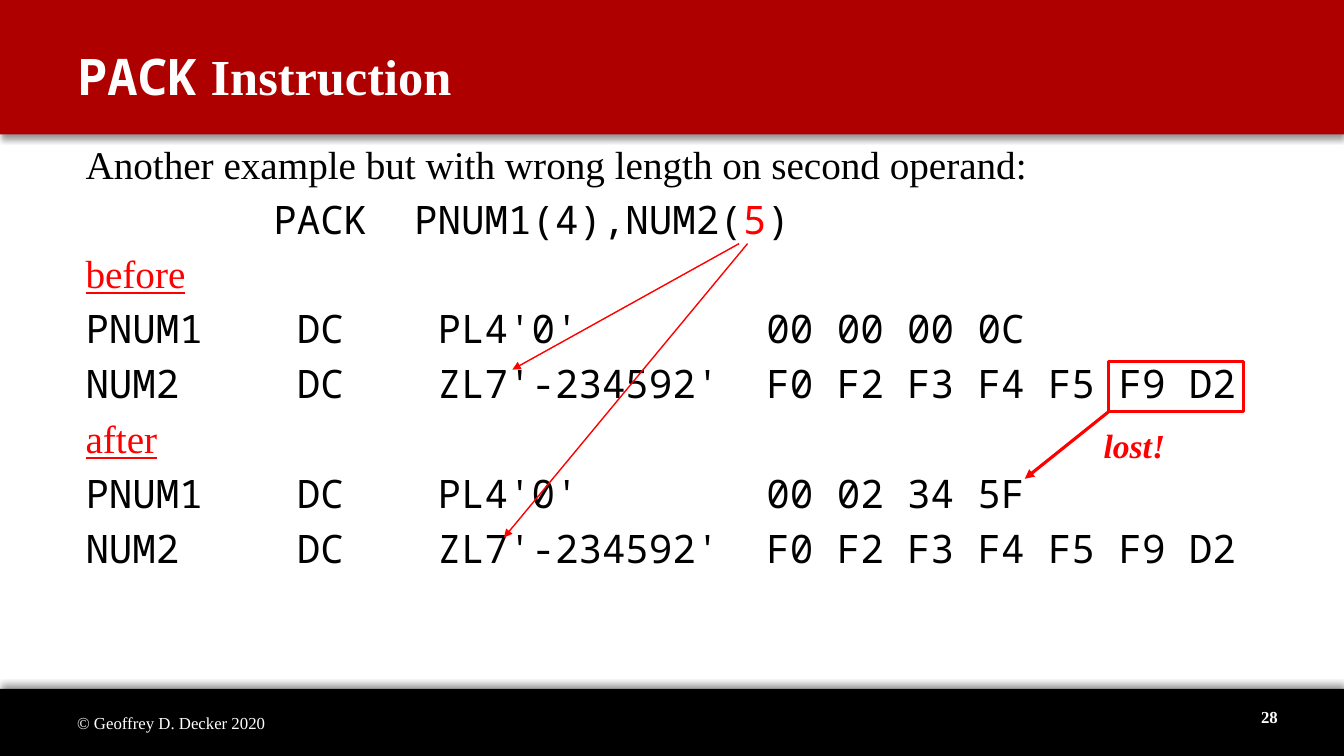
from dataclasses import dataclass
from typing import NamedTuple

import pptx
import pptx.dml.color
import pptx.enum.shapes
import pptx.enum.text
import pptx.oxml
import pptx.oxml.ns
import pptx.util

# Grid of 160 columns by 90 rows, each a twelfth of an inch
CELL = 1 / 12
COLUMNS, ROWS = 160, 90
COLORS = {"black": "000000", "white": "FFFFFF", "banner": "AF0000", "red": "FF0000"}
SERIF, MONO = "Times New Roman", "Noto Sans Mono"
ANCHOR = pptx.enum.text.MSO_ANCHOR
ALIGN = pptx.enum.text.PP_ALIGN


class Area(NamedTuple):
    column: float
    row: float
    width: float
    height: float


@dataclass
class Span:
    text: str
    size: float = 28
    font: str = SERIF
    color: str = "black"
    bold: bool = False
    italic: bool = False
    underline: bool = False


@dataclass
class TextBox:
    area: Area
    lines: list[list[Span]]
    anchor: ANCHOR = ANCHOR.MIDDLE
    align: ALIGN = ALIGN.LEFT
    wrap: bool = True
    pitch: float | None = None


class Band(NamedTuple):
    area: Area
    color: str
    shadow_angle: int


class Arrow(NamedTuple):
    start: tuple[float, float]
    end: tuple[float, float]
    weight: float


def grid(cells: float) -> int:
    return pptx.util.Inches(cells * CELL)


def rgb(name: str) -> pptx.dml.color.RGBColor:
    return pptx.dml.color.RGBColor.from_string(COLORS[name])


def add_xml(parent, body: str) -> None:
    tag, rest = body.split(" ", 1)
    namespace = pptx.oxml.ns.nsdecls("a")
    parent.append(pptx.oxml.parse_xml(f"<a:{tag} {namespace} {rest}"))


def draw_rectangle(page, area: Area):
    kind = pptx.enum.shapes.MSO_SHAPE.RECTANGLE
    shape = page.shapes.add_shape(kind, *map(grid, area))
    shape.shadow.inherit = False
    return shape


def draw_band(page, band: Band) -> None:
    shape = draw_rectangle(page, band.area)
    shape.fill.solid()
    shape.fill.fore_color.rgb = rgb(band.color)
    shape.line.fill.background()
    effects = shape._element.spPr.find(pptx.oxml.ns.qn("a:effectLst"))
    add_xml(effects, f'outerShdw blurRad="{pptx.util.Pt(4)}" dist="{pptx.util.Pt(3)}" '
                     f'dir="{band.shadow_angle * 60000}" rotWithShape="0">'
                     '<a:srgbClr val="000000"><a:alpha val="40000"/></a:srgbClr></a:outerShdw>')


def draw_frame(page, area: Area) -> None:
    shape = draw_rectangle(page, area)
    shape.fill.background()
    shape.line.color.rgb = rgb("red")
    shape.line.width = pptx.util.Pt(2)


def draw_text(page, item: TextBox) -> None:
    frame = page.shapes.add_textbox(*map(grid, item.area)).text_frame
    frame.word_wrap = item.wrap
    frame.vertical_anchor = item.anchor
    for index, line in enumerate(item.lines):
        para = frame.add_paragraph() if index else frame.paragraphs[0]
        para.alignment = item.align
        if item.pitch:
            para.line_spacing = pptx.util.Pt(item.pitch)
        for span in line:
            run = para.add_run()
            run.text = span.text
            run.font.size = pptx.util.Pt(span.size)
            run.font.name = span.font
            run.font.color.rgb = rgb(span.color)
            run.font.bold = span.bold
            run.font.italic = span.italic
            run.font.underline = span.underline


def draw_arrow(page, arrow: Arrow) -> None:
    kind = pptx.enum.shapes.MSO_CONNECTOR.STRAIGHT
    line = page.shapes.add_connector(kind, *map(grid, arrow.start + arrow.end))
    line.line.color.rgb = rgb("red")
    line.line.width = pptx.util.Pt(arrow.weight)
    add_xml(line.line._get_or_add_ln(), 'tailEnd type="triangle"/>')
    add_xml(line._element.spPr, "effectLst />")


def code(text: str, color: str = "black") -> Span:
    return Span(text, font=MONO, color=color)


def storage(label: str, value: str, content: str) -> list[Span]:
    """One assembler line, set in fixed code columns."""
    return [code(f"{label:<9}{'DC':<6}{value:<14}{content}")]


def heading(text: str) -> list[Span]:
    return [Span(text, color="red", underline=True)]


BANDS = [
    Band(Area(0, 82, COLUMNS, 8), "black", 270),
    Band(Area(0, 0, COLUMNS, 16), "banner", 90),
]

NUM2_LINE = storage("NUM2", "ZL7'-234592'", "F0 F2 F3 F4 F5 F9 D2")
LISTING = [
    [Span("Another example but with wrong length on second operand:")],
    [code("        PACK  PNUM1(4),NUM2("), code("5", "red"), code(")")],
    heading("before"),
    storage("PNUM1", "PL4'0'", "00 00 00 0C"),
    NUM2_LINE,
    heading("after"),
    storage("PNUM1", "PL4'0'", "00 02 34 5F"),
    NUM2_LINE,
]

TEXTS = [
    TextBox(Area(9, 15.15, 147.5, 66), LISTING, anchor=ANCHOR.TOP, pitch=39.2),
    TextBox(Area(8, 2, 132, 14), [[
        Span("PACK", 36, MONO, "white", bold=True),
        Span(" Instruction", 36, color="white", bold=True)]]),
    TextBox(Area(130.2, 50, 9.8, 6),
            [[Span("lost!", 24, color="red", bold=True, italic=True)]],
            anchor=ANCHOR.TOP, wrap=False),
    TextBox(Area(8, 83.6, 50.6, 4.8),
            [[Span("© Geoffrey D. Decker 2020", 12, color="white")]]),
    TextBox(Area(129.3, 82.9, 24, 4.8),
            [[Span("28", 12, color="white", bold=True)]], align=ALIGN.RIGHT),
]

LOST_BYTES = Area(132, 43, 16, 6)
ARROWS = [
    Arrow((LOST_BYTES.column, LOST_BYTES.row + LOST_BYTES.height), (122, 57), 2.25),
    Arrow((88, 29), (61, 44), 1),
    Arrow((89, 29), (60, 64), 1),
]


def main() -> None:
    deck = pptx.Presentation()
    deck.slide_width, deck.slide_height = grid(COLUMNS), grid(ROWS)
    page = deck.slides.add_slide(deck.slide_layouts[6])
    # Header and footer bands
    for band in BANDS:
        draw_band(page, band)
    # Title, listing, label and footer
    for item in TEXTS:
        draw_text(page, item)
    # Marks on the listing
    draw_frame(page, LOST_BYTES)
    for arrow in ARROWS:
        draw_arrow(page, arrow)
    deck.save("out.pptx")


if __name__ == "__main__":
    main()
